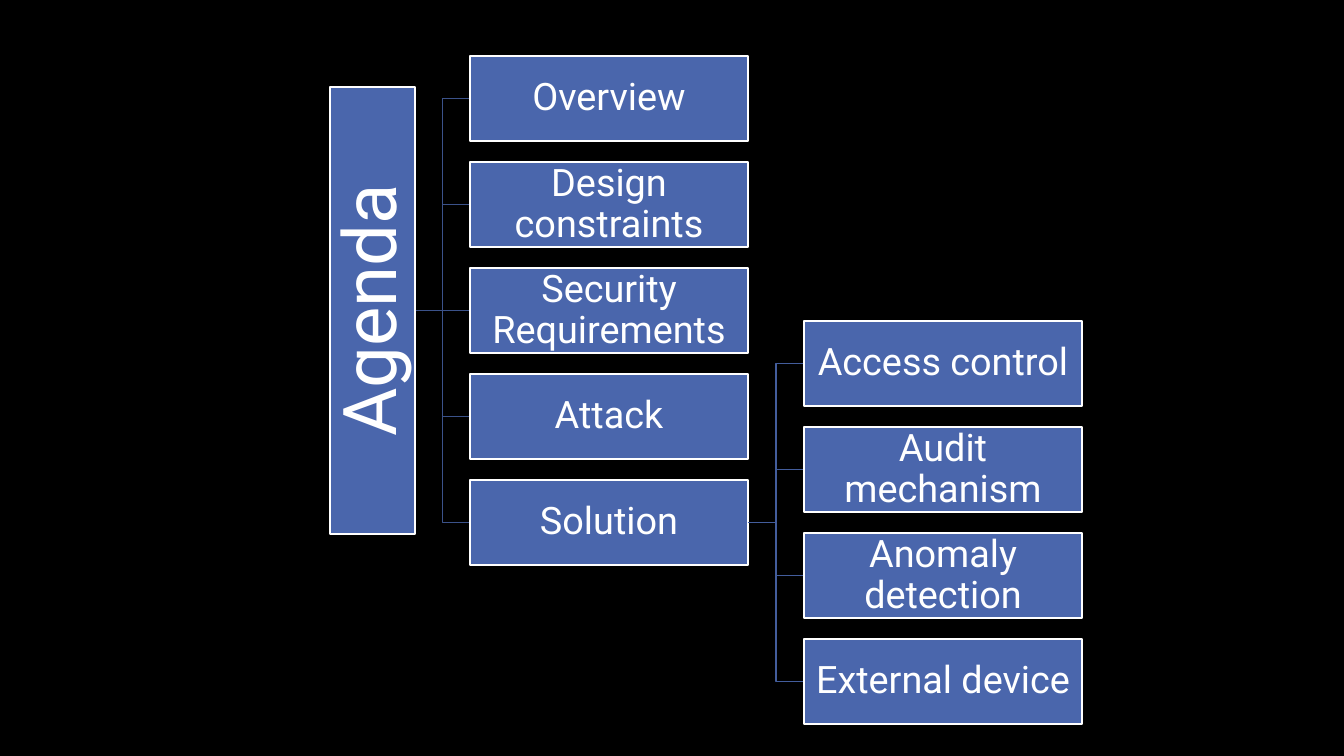
import lxml.etree
import pptx
import pptx.dml.color
import pptx.enum.shapes
import pptx.enum.text
import pptx.oxml.ns
import pptx.util

PX = 914400 / 100.8  # EMU in one px
BLACK = pptx.dml.color.RGBColor(0x00, 0x00, 0x00)
WHITE = pptx.dml.color.RGBColor(0xFF, 0xFF, 0xFF)
BLUE = pptx.dml.color.RGBColor(0x4A, 0x66, 0xAC)
FIRST_LINK = pptx.dml.color.RGBColor(0x3B, 0x52, 0x8A)
SECOND_LINK = pptx.dml.color.RGBColor(0x43, 0x5D, 0x9C)

FONT = "Roboto"
LINE_WIDTH = pptx.util.Pt(1.25)
BOX_WIDTH, BOX_HEIGHT, BOX_GAP = 278, 85, 21

ROOT = (330, 87, 85, 447)
TOPICS_LEFT, SOLUTIONS_LEFT = 470, 804
TOPICS = ["Overview", "Design constraints", "Security Requirements", "Attack", "Solution"]
SOLUTIONS = ["Access control", "Audit mechanism", "Anomaly detection", "External device"]


def emu(length):
    return pptx.util.Emu(round(length * PX))


def middle(box):
    return box[1] + box[3] / 2


def write_text(shape, text, *, size, inset, color=WHITE):
    frame = shape.text_frame
    frame.word_wrap = True
    frame.vertical_anchor = pptx.enum.text.MSO_ANCHOR.MIDDLE
    frame.margin_left = frame.margin_right = emu(inset)
    frame.margin_top = frame.margin_bottom = emu(inset)
    para = frame.paragraphs[0]
    para.alignment = pptx.enum.text.PP_ALIGN.CENTER
    para.line_spacing = 0.9
    span = para.add_run()
    span.text = text
    span.font.name = FONT
    span.font.size = pptx.util.Pt(size)
    span.font.color.rgb = color


def draw_box(page, box, text, *, size=27, inset=2, upright=False):
    left, top, width, height = box
    if upright:  # a turned shape is placed by its unturned frame
        left, top = left + (width - height) / 2, top + (height - width) / 2
        width, height = height, width
    shape = page.shapes.add_shape(
        pptx.enum.shapes.MSO_SHAPE.RECTANGLE, emu(left), emu(top), emu(width), emu(height))
    shape.rotation = 270 if upright else 0
    shape.shadow.inherit = False
    shape.fill.solid()
    shape.fill.fore_color.rgb = BLUE
    shape.line.color.rgb = WHITE
    shape.line.width = LINE_WIDTH
    write_text(shape, text, size=size, inset=inset)


def column_boxes(parent, left, count):
    """Boxes stacked evenly around the middle of their parent."""
    pitch = BOX_HEIGHT + BOX_GAP
    top = middle(parent) - (count * pitch - BOX_GAP) / 2
    return [(left, top + row * pitch, BOX_WIDTH, BOX_HEIGHT) for row in range(count)]


def draw_link(page, parent, child, color):
    start, end = parent[0] + parent[2], child[0]
    bend = (start + end) / 2
    y_from, y_to = middle(parent), middle(child)
    if y_from == y_to:
        link = page.shapes.add_connector(
            pptx.enum.shapes.MSO_CONNECTOR.STRAIGHT,
            emu(start), emu(y_from), emu(end), emu(y_to))
        lxml.etree.SubElement(link._element.spPr, pptx.oxml.ns.qn("a:effectLst"))
    else:
        outline = page.shapes.build_freeform(emu(start), emu(y_from))
        corners = [(bend, y_from), (bend, y_to), (end, y_to)]
        outline.add_line_segments([(emu(x), emu(y)) for x, y in corners], close=False)
        link = outline.convert_to_shape()
        link.fill.background()
        link.shadow.inherit = False
    link.line.color.rgb = color
    link.line.width = LINE_WIDTH


def draw_branch(page, parent, boxes, labels, color):
    for box in boxes:
        draw_link(page, parent, box, color)
    for box, label in zip(boxes, labels):
        draw_box(page, box, label)


def agenda_page(deck):
    page = deck.slides.add_slide(deck.slide_layouts[6])
    page.background.fill.solid()
    page.background.fill.fore_color.rgb = BLACK

    # Agenda and its topics
    topics = column_boxes(ROOT, TOPICS_LEFT, len(TOPICS))
    draw_branch(page, ROOT, topics, TOPICS, FIRST_LINK)
    draw_box(page, ROOT, "Agenda", size=53, inset=4, upright=True)

    # Parts of the solution, the last topic
    solutions = column_boxes(topics[-1], SOLUTIONS_LEFT, len(SOLUTIONS))
    draw_branch(page, topics[-1], solutions, SOLUTIONS, SECOND_LINK)


def main():
    deck = pptx.Presentation()
    deck.slide_width, deck.slide_height = emu(1344), emu(756)
    agenda_page(deck)
    deck.save("out.pptx")


if __name__ == "__main__":
    main()
